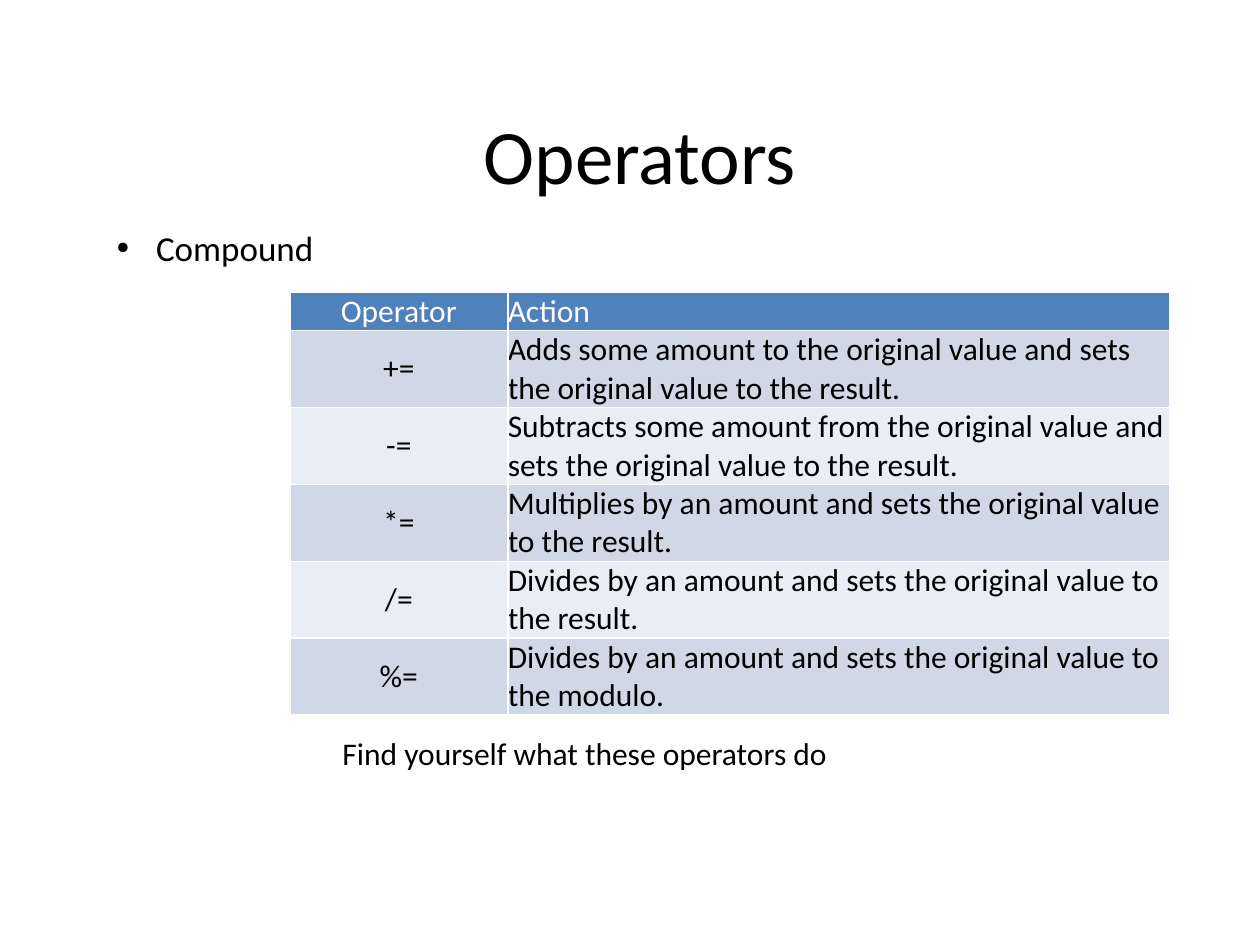
from pptx import Presentation
from pptx.dml.color import RGBColor as RGB
from pptx.enum.text import MSO_ANCHOR as ANCHOR, PP_ALIGN as ALIGN
from pptx.oxml.ns import qn
from pptx.util import Inches, Pt
from lxml.etree import SubElement

COLORS = {"text": "000000", "head_text": "FFFFFF", "head": "4F81BD",
          "odd": "D0D8E8", "even": "E9EDF4"}
ROWS = [
    ("Operator", "Action"),
    ("+=", "Adds some amount to the original value and sets the original value to the result."),
    ("-=", "Subtracts some amount from the original value and sets the original value to the result."),
    ("*=", "Multiplies by an amount and sets the original value to the result."),
    ("/=", "Divides by an amount and sets the original value to the result."),
    ("%=", "Divides by an amount and sets the original value to the modulo."),
]
COL_WIDTHS = (1.73, 5.25)
LINE_H = 0.305  # one line of table text


def style(p, size, color="text", align=ALIGN.LEFT):
    p.alignment = align
    for r in p.runs:
        r.font.name, r.font.size, r.font.bold = "Calibri", Pt(size), False
        r.font.color.rgb = RGB.from_string(COLORS[color])


def add_text(slide, box, text, size):
    tf = slide.shapes.add_textbox(*map(Inches, box)).text_frame
    tf.word_wrap = True
    tf.text = text
    style(tf.paragraphs[0], size)
    return tf.paragraphs[0]


prs = Presentation()
prs.slide_width, prs.slide_height = Inches(10), Inches(7.5)
s = prs.slides.add_slide(prs.slide_layouts[5])

# Title
title = s.shapes.title
title.left, title.top, title.width, title.height = map(Inches, (0.83, 0.5, 8.5, 1.44))
title.text_frame.text = "Operators"
title.text_frame.vertical_anchor = ANCHOR.MIDDLE
style(title.text_frame.paragraphs[0], 44, align=ALIGN.CENTER)

# Bullet
p = add_text(s, (0.83, 1.75, 8.58, 5.25), "Compound", 20)
pPr = p._p.get_or_add_pPr()
pPr.set("marL", str(Inches(0.31)))
pPr.set("indent", str(-Inches(0.31)))
SubElement(pPr, qn("a:buFont")).set("typeface", "Arial")
SubElement(pPr, qn("a:buChar")).set("char", "•")

# Operator table: one line for the header, two for each operator
lines = [1] + [2] * (len(ROWS) - 1)
table = s.shapes.add_table(len(ROWS), len(COL_WIDTHS), Inches(2.3), Inches(2.32),
                           Inches(sum(COL_WIDTHS)), Inches(LINE_H * sum(lines))).table
for col, width in zip(table.columns, COL_WIDTHS):
    col.width = Inches(width)
for i, row in enumerate(ROWS):
    table.rows[i].height = Inches(LINE_H * lines[i])
    fill = "head" if i == 0 else "odd" if i % 2 else "even"
    for j, text in enumerate(row):
        cell = table.cell(i, j)
        cell.margin_left = cell.margin_right = cell.margin_top = cell.margin_bottom = 0
        cell.vertical_anchor = ANCHOR.MIDDLE
        cell.fill.solid()
        cell.fill.fore_color.rgb = RGB.from_string(COLORS[fill])
        cell.text_frame.text = text
        style(cell.text_frame.paragraphs[0], 18, "text" if i else "head_text",
              ALIGN.LEFT if j else ALIGN.CENTER)

# Closing line
add_text(s, (2.62, 5.78, 6.14, 0.4), "Find yourself what these operators do", 18)

prs.save("out.pptx")
